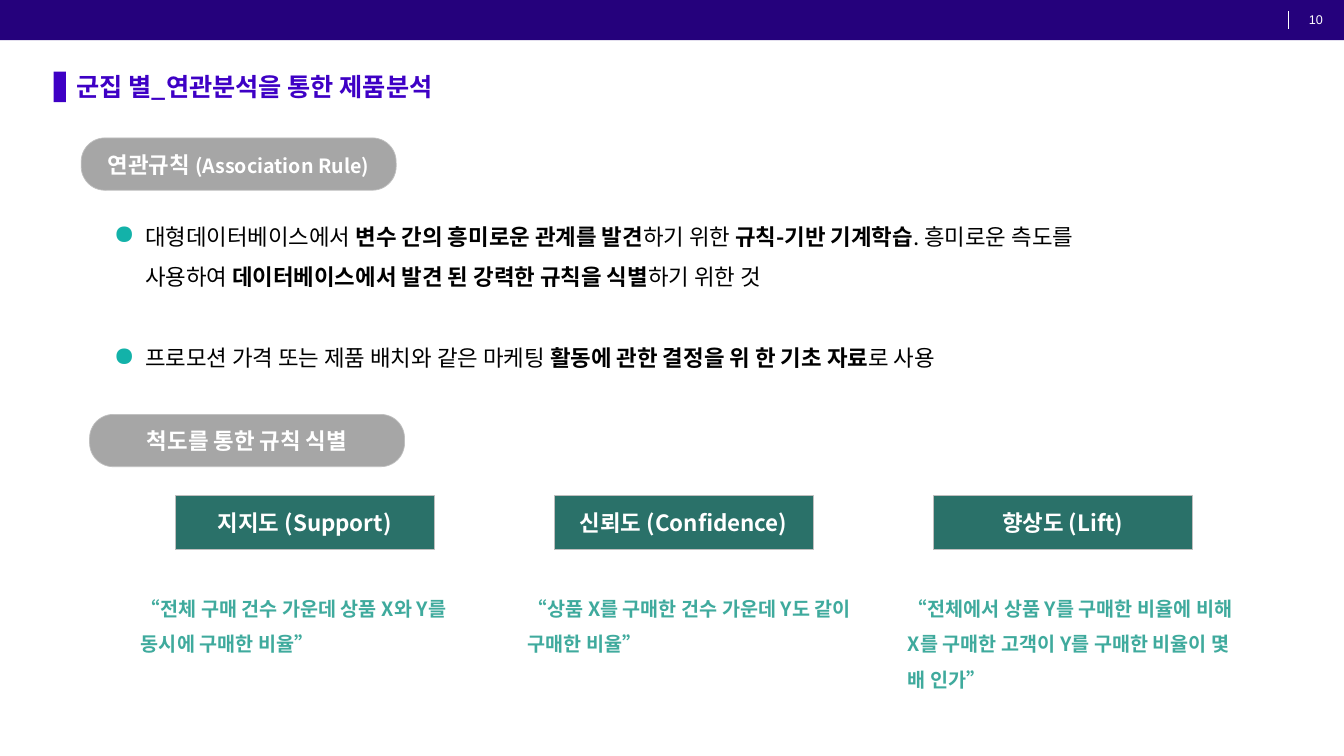
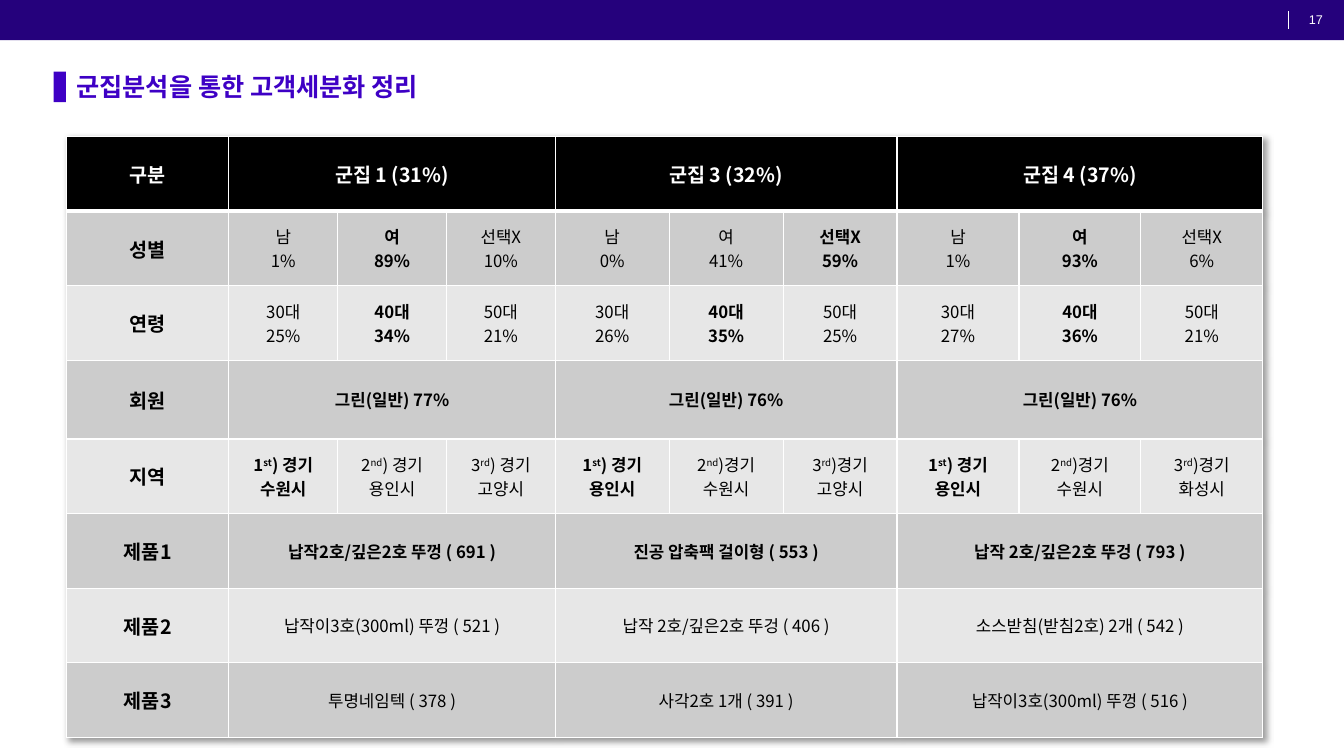
from lxml.etree import SubElement
from pptx import Presentation
from pptx.dml.color import RGBColor
from pptx.enum.shapes import MSO_CONNECTOR as Connector, MSO_SHAPE as Preset
from pptx.enum.text import MSO_ANCHOR as Anchor, PP_ALIGN as Align
from pptx.oxml import parse_xml
from pptx.oxml.ns import nsdecls, qn
from pptx.util import Pt

COLORS = {
    "band": "25017C", "title": "3E00C5", "white": "FFFFFF", "black": "000000",
    "pill": "A6A6A6", "edge": "BFBFBF", "card": "2A7169", "quote": "3FAA9D",
    "bullet": "13B2A9", "dark row": "CCCCCC", "light row": "E7E7E7",
}
SANS = "Noto Sans CJK KR"
STYLES = {
    "number": {"name": "Arial", "size": 9, "color": "white"},
    "title": {"name": SANS, "size": 18, "color": "title", "bold": True},
    "label": {"name": SANS, "size": 16, "color": "white", "bold": True},
    "note": {"name": SANS, "size": 14, "color": "white", "bold": True},
    "body": {"name": SANS, "size": 16, "color": "black"},
    "quote": {"name": SANS, "size": 14, "color": "quote", "bold": True},
    "row head": {"name": SANS, "size": 14, "color": "black", "bold": True},
    "cell": {"name": SANS, "size": 12, "color": "black"},
}
CENTERED = {"alignment": Align.CENTER}
FLUSH = {"margin_left": 0, "margin_right": 0, "margin_top": 0, "margin_bottom": 0}

RULE_POINTS = [
    "대형데이터베이스에서 *변수 간의 흥미로운 관계를 발견*하기 위한 *규칙-기반 기계학습*. "
    "흥미로운 측도를 사용하여 *데이터베이스에서 발견 된 강력한 규칙을 식별*하기 위한 것",
    "프로모션 가격 또는 제품 배치와 같은 마케팅 *활동에 관한 결정을 위 한 기초 자료*로 사용",
]
MEASURES = [
    ("지지도 (Support)", -31.6, "“전체 구매 건수 가운데 상품 X와 Y를 동시에 구매한 비율”"),
    ("신뢰도 (Confidence)", -26, "“상품 X를 구매한 건수 가운데 Y도 같이 구매한 비율”"),
    ("향상도 (Lift)", -25.2,
     "“전체에서 상품 Y를 구매한 비율에 비해 X를 구매한 고객이 Y를 구매한 비율이 몇 배 인가”"),
]
SEGMENTS = [
    ["구분", "군집 1 (31%)", "군집 3 (32%)", "군집 4 (37%)"],
    ["성별", "남\n1%", "*여\n*89%", "선택X\n10%", "남\n0%", "여\n41%", "*선택X\n*59%",
     "남\n1%", "*여\n*93%", "선택X\n6%"],
    ["연령", "30대\n25%", "*40대\n*34%", "50대\n21%", "30대\n26%", "*40대\n*35%", "50대\n25%",
     "30대\n27%", "*40대\n*36%", "50대\n21%"],
    ["회원", "*그린(일반) 77%", "*그린(일반) 76%", "*그린(일반) 76%"],
    ["지역", "*1^st^) 경기\n*수원시", "2^nd^) 경기\n용인시", "3^rd^) 경기\n고양시",
     "*1^st^) 경기\n*용인시", "2^nd^)경기\n수원시", "3^rd^)경기\n고양시",
     "*1^st^) 경기\n*용인시", "2^nd^)경기\n수원시", "3^rd^)경기\n화성시"],
    ["제품1", "*납작2호/깊은2호 뚜껑 ( 691 )", "*진공 압축팩 걸이형 ( 553 )",
     "*납작 2호/깊은2호 뚜겅 ( 793 )"],
    ["제품2", "납작이3호(300ml) 뚜껑 ( 521 )", "납작 2호/깊은2호 뚜겅 ( 406 )",
     "소스받침(받침2호) 2개 ( 542 )"],
    ["제품3", "투명네임텍 ( 378 )", "사각2호 1개 ( 391 )", "납작이3호(300ml) 뚜껑 ( 516 )"],
]


def color(key):
    """Return the named colour."""
    return RGBColor.from_string(COLORS[key])


def set_formats(target, formats):
    """Set each named attribute on the target."""
    for name, value in formats.items():
        setattr(target, name, value)


def add_spans(para, text, style):
    """Add text to a paragraph; * toggles bold and ^ toggles superscript."""
    style = STYLES[style]
    for turn, part in enumerate(text.split("*")):
        for level, piece in enumerate(part.split("^")):
            if not piece:
                continue
            span = para.add_run()
            span.text = piece
            set_formats(span.font, {
                "name": style["name"], "size": Pt(style["size"]),
                "bold": style.get("bold", False) != bool(turn % 2),
            })
            span.font.color.rgb = color(style["color"])
            properties = span.font._element
            SubElement(properties, qn("a:ea"), typeface=style["name"])
            if level % 2:
                properties.set("baseline", "30000")


def write(frame, text, style, formats):
    """Fill a text frame with one paragraph per line."""
    for index, line in enumerate(text.split("\n")):
        para = frame.add_paragraph() if index else frame.paragraphs[0]
        set_formats(para, formats)
        add_spans(para, line, style)


def add_box(page, box, text, style, para_formats, frame_formats):
    """Add a wrapping text box."""
    frame = page.shapes.add_textbox(*map(Pt, box)).text_frame
    set_formats(frame, {"word_wrap": True, **frame_formats})
    write(frame, text, style, para_formats)
    return frame


def add_block(page, preset, box, fill, edge=None):
    """Add a flat filled shape with an optional thin edge."""
    shape = page.shapes.add_shape(preset, *map(Pt, box))
    shape.shadow.inherit = False
    shape.fill.solid()
    shape.fill.fore_color.rgb = color(fill)
    if edge:
        shape.line.color.rgb = color(edge)
        shape.line.width = Pt(0.5)
    else:
        shape.line.fill.background()
    return shape


def add_label(page, preset, box, fill, text):
    """Add an edged shape with a centred white label."""
    shape = add_block(page, preset, box, fill, "edge")
    set_formats(shape.text_frame, {"word_wrap": True, "vertical_anchor": Anchor.MIDDLE, **FLUSH})
    write(shape.text_frame, text, "label", CENTERED)
    return shape


def add_page(deck, number, title):
    """Add a page with the top band, page number and title."""
    page = deck.slides.add_slide(deck.slide_layouts[6])
    add_block(page, Preset.RECTANGLE, (0, 0, 960, 28.8), "band")
    divider = page.shapes.add_connector(Connector.STRAIGHT, Pt(920), Pt(8), Pt(920), Pt(21))
    divider.line.color.rgb = color("white")
    divider.line.width = Pt(0.5)
    SubElement(divider._element.spPr, qn("a:effectLst"))
    add_block(page, Preset.RECTANGLE, (38.3, 51.2, 8.8, 21.8), "title")
    add_box(page, (920, -1, 40, 29.5), number, "number", CENTERED,
            {"vertical_anchor": Anchor.MIDDLE})
    add_box(page, (47.5, 49.7, 754, 27), title, "title", {"line_spacing": 0.9}, {})
    return page


def add_pill(page, left, top, text, note=""):
    """Add a rounded section heading with an optional smaller note."""
    pill = add_label(page, Preset.ROUNDED_RECTANGLE, (left, top, 225, 37.4), "pill", text)
    pill.adjustments[0] = 0.455
    if note:
        add_spans(pill.text_frame.paragraphs[0], note, "note")


def add_points(page, box, points):
    """Add a bulleted list with a line of space between points."""
    frame = add_box(page, box, "\n".join(points), "body", {"line_spacing": 1.5}, {})
    for index, para in enumerate(frame.paragraphs):
        if index:
            para.space_before = Pt(29)
        properties = para._p.get_or_add_pPr()
        properties.set("marL", str(Pt(22.5)))
        properties.set("indent", str(-Pt(22.5)))
        tint = SubElement(properties, qn("a:buClr"))
        SubElement(tint, qn("a:srgbClr"), val=COLORS["bullet"])
        SubElement(properties, qn("a:buSzPct"), val="120000")
        SubElement(properties, qn("a:buChar"), char="●")


def add_measure(page, left, top, name, shift, quote):
    """Add a measure card with its meaning below."""
    add_label(page, Preset.RECTANGLE, (left, top, 185, 38.6), "card", name)
    add_box(page, (left + shift, top + 60.6, 255, 55), quote, "quote", {"line_spacing": 1.5}, {})


def style_cell(cell, fill, top, bottom):
    """Give a cell its white borders, fill and middle anchor."""
    properties = cell._tc.get_or_add_tcPr()
    for side, width in {"lnL": 1, "lnR": 1, "lnT": top, "lnB": bottom}.items():
        border = SubElement(properties, qn(f"a:{side}"), w=str(Pt(width)))
        SubElement(SubElement(border, qn("a:solidFill")), qn("a:srgbClr"), val=COLORS["white"])
    cell.fill.solid()
    cell.fill.fore_color.rgb = color(fill)
    cell.vertical_anchor = Anchor.MIDDLE


def add_segment_table(page, left, top, rows):
    """Add the segment table; a row of four cells spans three columns each."""
    widths = [116] + [77.7] * 3 + [81.4] * 3 + [87.1] * 3
    heights = [53.3] * len(rows)
    heights[3] = 56.2
    table = page.shapes.add_table(len(rows), len(widths), Pt(left), Pt(top),
                                  Pt(sum(widths)), Pt(sum(heights))).table
    table._tbl.tblPr.insert(0, parse_xml(
        f'<a:effectLst {nsdecls("a")}><a:outerShdw blurRad="50800" dist="38100" dir="2700000" '
        'algn="tl" rotWithShape="0"><a:srgbClr val="000000"><a:alpha val="40000"/></a:srgbClr>'
        '</a:outerShdw></a:effectLst>'))
    for column, width in zip(table.columns, widths):
        column.width = Pt(width)
    for index, texts in enumerate(rows):
        table.rows[index].height = Pt(heights[index])
        fill = "light row" if index in (2, 4, 6) else "dark row" if index else "black"
        for column in range(len(widths)):
            style_cell(table.cell(index, column), fill, 3 if index == 1 else 1, 1 if index else 3)
        step = 3 if len(texts) == 4 else 1
        for order, text in enumerate(texts):
            column = 1 + (order - 1) * step if order else 0
            cell = table.cell(index, column)
            if order and step > 1:
                cell.merge(table.cell(index, column + step - 1))
            style = "note" if not index else "cell" if order else "row head"
            write(cell.text_frame, text, style, CENTERED)


def build_rule_page(deck):
    """Build the page on association rules."""
    page = add_page(deck, "10", "군집 별_연관분석을 통한 제품분석")
    add_pill(page, 58, 98.5, "연관규칙 ", "(Association Rule)")
    add_points(page, (74, 146.2, 757.5, 149), RULE_POINTS)
    add_pill(page, 64, 296, "척도를 통한 규칙 식별")
    for index, measure in enumerate(MEASURES):
        add_measure(page, 125.2 + 270.7 * index, 354, *measure)


def build_segment_page(deck):
    """Build the page that sums up the customer segments."""
    page = add_page(deck, "17", "군집분석을 통한 고객세분화 정리")
    add_segment_table(page, 47.5, 97.5, SEGMENTS)


def main():
    """Build and save the deck."""
    deck = Presentation()
    set_formats(deck, {"slide_width": Pt(960), "slide_height": Pt(540)})
    build_rule_page(deck)
    build_segment_page(deck)
    deck.save("out.pptx")


if __name__ == "__main__":
    main()
